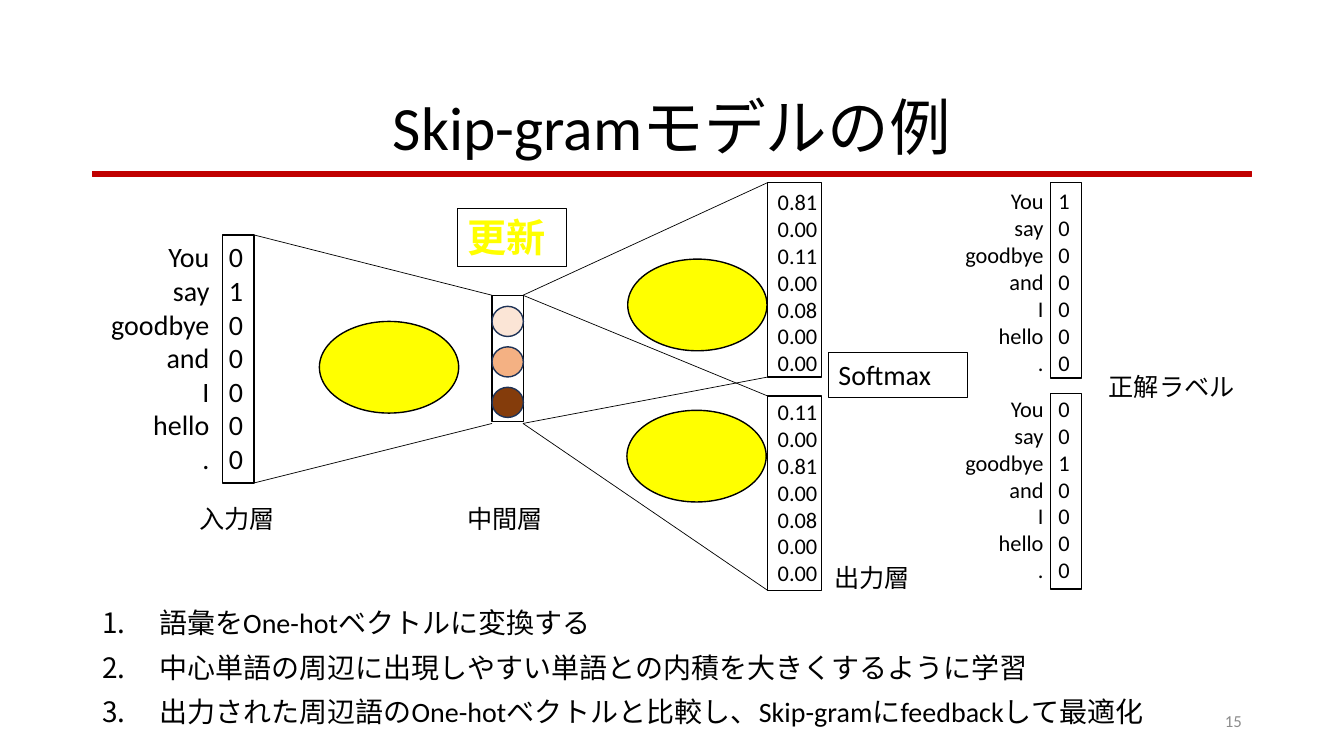
from dataclasses import dataclass

from lxml import etree
from pptx import Presentation
from pptx.dml.color import RGBColor
from pptx.enum.shapes import MSO_CONNECTOR, MSO_SHAPE
from pptx.enum.text import MSO_ANCHOR, PP_ALIGN
from pptx.oxml.ns import qn
from pptx.util import Cm, Pt

RECTANGLE, OVAL = MSO_SHAPE.RECTANGLE, MSO_SHAPE.OVAL
STRAIGHT = MSO_CONNECTOR.STRAIGHT
TOP, MIDDLE = MSO_ANCHOR.TOP, MSO_ANCHOR.MIDDLE
LEFT, CENTER, RIGHT = PP_ALIGN.LEFT, PP_ALIGN.CENTER, PP_ALIGN.RIGHT


@dataclass(frozen=True)
class Theme:
    font: str = "Calibri"
    ink: str = "000000"
    accent: str = "C00000"
    highlight: str = "FFFF00"
    muted: str = "8C8C8C"
    node_edge: str = "1E3256"
    nodes: tuple = ("FBE5D6", "F4B183", "843C0B")
    title: int = 44
    update: int = 28
    body: int = 20
    label: int = 18
    vector: int = 16
    page: int = 12


class SlideBuilder:
    def __init__(self, slide, theme):
        self.shapes = slide.shapes
        self.theme = theme

    def set_text(self, shape, lines, size, color=None, align=LEFT, anchor=TOP,
                 bold=False, spacing=None, gap=0, numbered=False, tabs=()):
        frame = shape.text_frame
        frame.word_wrap = True
        frame.vertical_anchor = anchor
        if tabs:
            frame.margin_right = 0
        for index, line in enumerate(lines):
            paragraph = frame.add_paragraph() if index else frame.paragraphs[0]
            paragraph.text = line
            paragraph.alignment = align
            if spacing:
                paragraph.line_spacing = spacing
            if gap and index:
                paragraph.space_before = Pt(gap)
            properties = paragraph._p.get_or_add_pPr()
            if numbered:
                properties.set("marL", str(Cm(1.43)))
                properties.set("indent", str(-Cm(1.43)))
                etree.SubElement(properties, qn("a:buFont"), typeface="+mj-lt")
                etree.SubElement(properties, qn("a:buAutoNum"), type="arabicPeriod")
            if tabs:
                stops = etree.SubElement(properties, qn("a:tabLst"))
                for stop in tabs:
                    etree.SubElement(stops, qn("a:tab"), pos=str(Cm(stop)), algn="r")
            font = paragraph.font
            font.name = self.theme.font
            font.size = Pt(size)
            font.bold = bold
            font.color.rgb = RGBColor.from_string(color or self.theme.ink)

    def text(self, box, lines, size, **style):
        self.set_text(self.shapes.add_textbox(*map(Cm, box)), lines, size, **style)

    def shape(self, kind, box, fill=None, edge=None, width=1):
        shape = self.shapes.add_shape(kind, *map(Cm, box))
        shape.shadow.inherit = False
        if fill:
            shape.fill.solid()
            shape.fill.fore_color.rgb = RGBColor.from_string(fill)
        else:
            shape.fill.background()
        shape.line.color.rgb = RGBColor.from_string(edge or self.theme.ink)
        shape.line.width = Pt(width)
        return shape

    def caption_box(self, box, caption, size, **style):
        self.set_text(self.shape(RECTANGLE, box, width=0.75), [caption], size, **style)

    def link(self, start, end):
        line = self.shapes.add_connector(STRAIGHT, *map(Cm, start + end))
        line.line.color.rgb = RGBColor.from_string(self.theme.ink)
        line.line.width = Pt(0.5)
        etree.SubElement(line._element.spPr, qn("a:effectLst"))

    def one_hot(self, box, frame, hot, size, tabs):
        words = ("You", "say", "goodbye", "and", "I", "hello", ".")
        rows = [f"\t{word}\t{int(word == hot)}" for word in words]
        self.text(box, rows, size, tabs=tabs)
        self.shape(RECTANGLE, frame)


def main():
    deck = Presentation()
    deck.slide_width, deck.slide_height = Cm(33.87), Cm(19.05)
    theme = Theme()
    page = SlideBuilder(deck.slides.add_slide(deck.slide_layouts[6]), theme)

    page.shape(RECTANGLE, (2.33, 4.32, 29.21, 0.13), theme.accent, theme.accent)
    for left, top in ((8.05, 8.1), (15.8, 10.34), (15.82, 6.53)):
        page.shape(OVAL, (left, top, 3.51, 2.31), theme.highlight)

    page.text((2.33, 1.7, 29.21, 3.18), ["Skip-gramモデルの例"], theme.title,
              align=CENTER, anchor=MIDDLE, spacing=0.9)
    steps = ["語彙をOne-hotベクトルに変換する",
             "中心単語の周辺に出現しやすい単語との内積を大きくするように学習",
             "出力された周辺語のOne-hotベクトルと比較し、Skip-gramにfeedbackして最適化"]
    page.text((2.33, 15.24, 29.21, 3.43), steps, theme.body,
              spacing=0.9, gap=10, numbered=True)
    page.text((23.93, 17.65, 7.62, 1.02), ["15"], theme.page,
              color=theme.muted, align=RIGHT, anchor=MIDDLE)

    page.one_hot((2.33, 5.92, 4.06, 6.25), (5.61, 5.92, 0.79, 6.25),
                 "say", theme.body, (2.7, 3.55))
    for text_top, frame_top, hot in ((4.6, 4.6, "You"), (9.83, 9.91, "goodbye")):
        page.one_hot((23.16, text_top, 4.06, 5.05), (26.47, frame_top, 0.79, 4.93),
                     hot, theme.vector, (2.89, 3.55))

    page.shape(RECTANGLE, (12.4, 7.44, 0.79, 3.18))
    for index, color in enumerate(theme.nodes):
        page.shape(OVAL, (12.4, 7.72 + 1.02 * index, 0.79, 0.76), color, theme.node_edge)

    outputs = ((4.62, 4.6, ["0.81", "0.00", "0.11"]),
               (9.91, 9.98, ["0.11", "0.00", "0.81"]))
    for text_top, frame_top, scores in outputs:
        page.text((19.35, text_top, 2.01, 5.13),
                  scores + ["0.00", "0.08", "0.00", "0.00"], theme.vector)
        page.shape(RECTANGLE, (19.35, frame_top, 1.35, 4.9))
        page.link((13.18, 7.44), (19.35, frame_top))
        page.link((13.18, 10.67), (19.35, frame_top + 4.9))
    page.link((6.4, 5.92), (12.4, 7.44))
    page.link((6.4, 12.17), (12.4, 10.67))

    labels = (("入力層", 4.78, 12.57, 2.49), ("中間層", 11.53, 12.57, 2.49),
              ("出力層", 20.78, 14.05, 2.49), ("正解ラベル", 27.69, 9.22, 5.41))
    for label, left, top, width in labels:
        page.text((left, top, width, 1.02), [label], theme.label)

    page.caption_box((11.53, 5.26, 2.74, 1.45), "更新", theme.update,
                     color=theme.highlight, bold=True)
    page.caption_box((20.88, 8.89, 3.51, 1.12), "Softmax", theme.body)

    deck.save("out.pptx")


if __name__ == "__main__":
    main()
